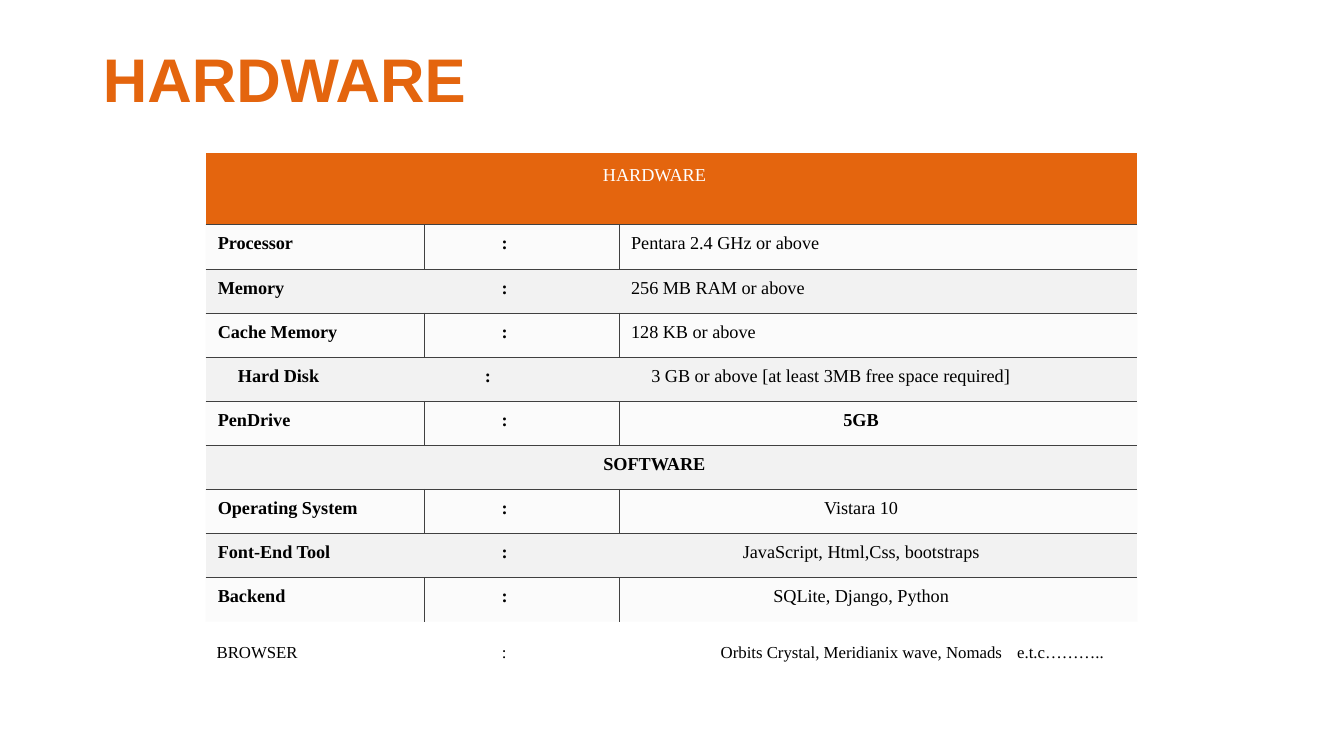
import pptx
import pptx.dml.color
import pptx.enum.shapes
import pptx.enum.text
import pptx.oxml
import pptx.oxml.ns
import pptx.oxml.xmlchemy
import pptx.util
from lxml import etree

Inches = pptx.util.Inches
ALIGN = pptx.enum.text.PP_ALIGN
ANCHOR = pptx.enum.text.MSO_ANCHOR

COLOURS = {
    "accent": "E4650E",
    "band": "F2F2F2",
    "rule": "404040",
    "text": "000000",
    "white": "FFFFFF",
}
SERIF = "Times New Roman"
NO_STYLE = "{2D5ABB26-0587-4C30-8999-92F81FD0307C}"
COLUMN_WIDTHS = (2.17, 1.93, 5.14)
HEADER_HEIGHT = 0.71
CENTRE_INSET = 0.46
ROWS = [
    ("Processor", "Pentara 2.4 GHz or above", {}),
    ("Memory", "256 MB RAM or above", {}),
    ("Cache Memory", "128 KB or above", {}),
    ("Hard Disk", "3 GB or above [at least 3MB free space required]",
     {"indents": (0.2, 0.48, 0.2)}),
    ("PenDrive", "5GB", {"centred": True, "bold": True}),
    ("SOFTWARE", None, {}),
    ("Operating System", "Vistara 10", {"centred": True}),
    ("Font-End Tool", "JavaScript, Html,Css, bootstraps", {"centred": True}),
    ("Backend", "SQLite, Django, Python", {"centred": True}),
]


def rgb(name):
    """Return the named colour."""
    return pptx.dml.color.RGBColor.from_string(COLOURS[name])


def child(parent, tag, **attributes):
    """Append a drawing element to its parent."""
    return etree.SubElement(parent, pptx.oxml.ns.qn("a:" + tag), attributes)


def write_text(text_frame, text, size=13, font=SERIF, colour="text", bold=False,
               align=ALIGN.LEFT, indent=0, tabs=(), line_spacing=None):
    """Write one formatted paragraph into a text frame."""
    paragraph = text_frame.paragraphs[0]
    properties = paragraph._p.get_or_add_pPr()
    if indent:
        properties.set("marL", str(Inches(indent)))
        properties.set("indent", "0")
    if tabs:
        tab_list = child(properties, "tabLst")
        for position in tabs:
            child(tab_list, "tab", pos=str(Inches(position)), algn="l")
    paragraph.alignment = align
    if line_spacing:
        paragraph.line_spacing = line_spacing
    run = paragraph.add_run()
    run.text = text
    run.font.size = pptx.util.Pt(size)
    run.font.name = font
    run.font.bold = bold
    run.font.color.rgb = rgb(colour)


def add_panel(slide, left, top, width, height):
    """Add a plain white rectangle."""
    panel = slide.shapes.add_shape(
        pptx.enum.shapes.MSO_SHAPE.RECTANGLE,
        Inches(left), Inches(top), Inches(width), Inches(height))
    panel.shadow.inherit = False
    panel.fill.solid()
    panel.fill.fore_color.rgb = rgb("white")
    panel.line.fill.background()
    return panel


def add_title(slide, left, top, width, height):
    """Place the slide title at the top of its box."""
    title = slide.shapes.title
    title.left, title.top = Inches(left), Inches(top)
    title.width, title.height = Inches(width), Inches(height)
    title.text_frame.vertical_anchor = ANCHOR.TOP
    title.text_frame.margin_top = Inches(0.09)
    write_text(title.text_frame, "HARDWARE", size=44, font="Arial",
               colour="accent", bold=True, line_spacing=0.9)


def format_cell(cell, colour, opacity=None, sides="", top=0.09, right=0.09):
    """Set the fill, insets and ruled sides of a cell."""
    cell.margin_left, cell.margin_right = Inches(0.12), Inches(right)
    cell.margin_top, cell.margin_bottom = Inches(top), Inches(0.09)
    cell.fill.solid()
    cell.fill.fore_color.rgb = rgb(colour)
    properties = cell._tc.get_or_add_tcPr()
    if opacity:
        child(properties[0][0], "alpha", val=str(opacity * 1000))
    for position, side in enumerate(sides):
        line = child(properties, "ln" + side, w=str(pptx.util.Pt(0.5)))
        child(child(line, "solidFill"), "srgbClr", val=COLOURS["rule"])
        properties.insert(position, line)


def fill_heading(table, index, text, colour, text_colour, bold, top):
    """Merge a table row into one centred heading."""
    cell = table.cell(index, 0)
    cell.merge(table.cell(index, len(COLUMN_WIDTHS) - 1))
    format_cell(cell, colour, top=top, right=CENTRE_INSET)
    write_text(cell.text_frame, text, colour=text_colour, bold=bold,
               align=ALIGN.CENTER)


def fill_row(table, index, label, value, centred=False, bold=False, indents=None):
    """Fill a label, colon and value row."""
    light = index % 2 == 1
    centred_columns = (False, not indents, centred)
    for column, text in enumerate((label, ":", value)):
        cell = table.cell(index, column)
        middle = centred_columns[column]
        format_cell(cell, "band", opacity=30 if light else None,
                    sides=("RT", "LRT", "LT")[column] if light else "",
                    right=CENTRE_INSET if middle else 0.09)
        write_text(cell.text_frame, text, bold=bold or column < 2,
                   align=ALIGN.CENTER if middle else ALIGN.LEFT,
                   indent=indents[column] if indents else 0)


def add_requirements(slide, left, top, width, height):
    """Add the table of hardware and software requirements."""
    table = slide.shapes.add_table(
        len(ROWS) + 1, len(COLUMN_WIDTHS),
        Inches(left), Inches(top), Inches(width), Inches(height)).table
    table.first_row = table.horz_banding = False
    table._tbl.tblPr.find(pptx.oxml.ns.qn("a:tableStyleId")).text = NO_STYLE
    for column, column_width in zip(table.columns, COLUMN_WIDTHS):
        column.width = Inches(column_width)
    for row in table.rows:
        row.height = Inches((height - HEADER_HEIGHT) / len(ROWS))
    table.rows[0].height = Inches(HEADER_HEIGHT)
    fill_heading(table, 0, "HARDWARE", "accent", "white", False, 0.12)
    for index, (label, value, options) in enumerate(ROWS, start=1):
        if value is None:
            fill_heading(table, index, label, "band", "text", True, 0.09)
        else:
            fill_row(table, index, label, value, **options)


def add_browsers(slide, left, top, width, height):
    """Add the browser line on its white strip."""
    strip = add_panel(slide, left, top, width, height)
    strip.line.color.rgb = rgb("white")
    strip.line.width = pptx.util.Pt(1)
    box = slide.shapes.add_textbox(
        Inches(left), Inches(top), Inches(width - 0.45), Inches(0.3))
    box.text_frame.word_wrap = True
    write_text(box.text_frame,
               "BROWSER\t:\tOrbits Crystal, Meridianix wave, Nomads\te.t.c………..",
               size=12, tabs=(2.83, 5, 7.94))


def main():
    """Build and save the presentation."""
    presentation = pptx.Presentation()
    presentation.slide_width = Inches(13.33)
    presentation.slide_height = Inches(7.5)
    slide = presentation.slides.add_slide(presentation.slide_layouts[5])
    backdrop = add_panel(slide, 0, 0, 13.33, 7.5)
    slide.shapes.title.element.addprevious(backdrop.element)
    add_title(slide, 0.92, 0.4, 11.5, 1.45)
    add_requirements(slide, 2.04, 1.52, 9.24, 4.65)
    add_browsers(slide, 2.05, 6.32, 9.69, 0.44)
    presentation.save("out.pptx")


if __name__ == "__main__":
    main()
